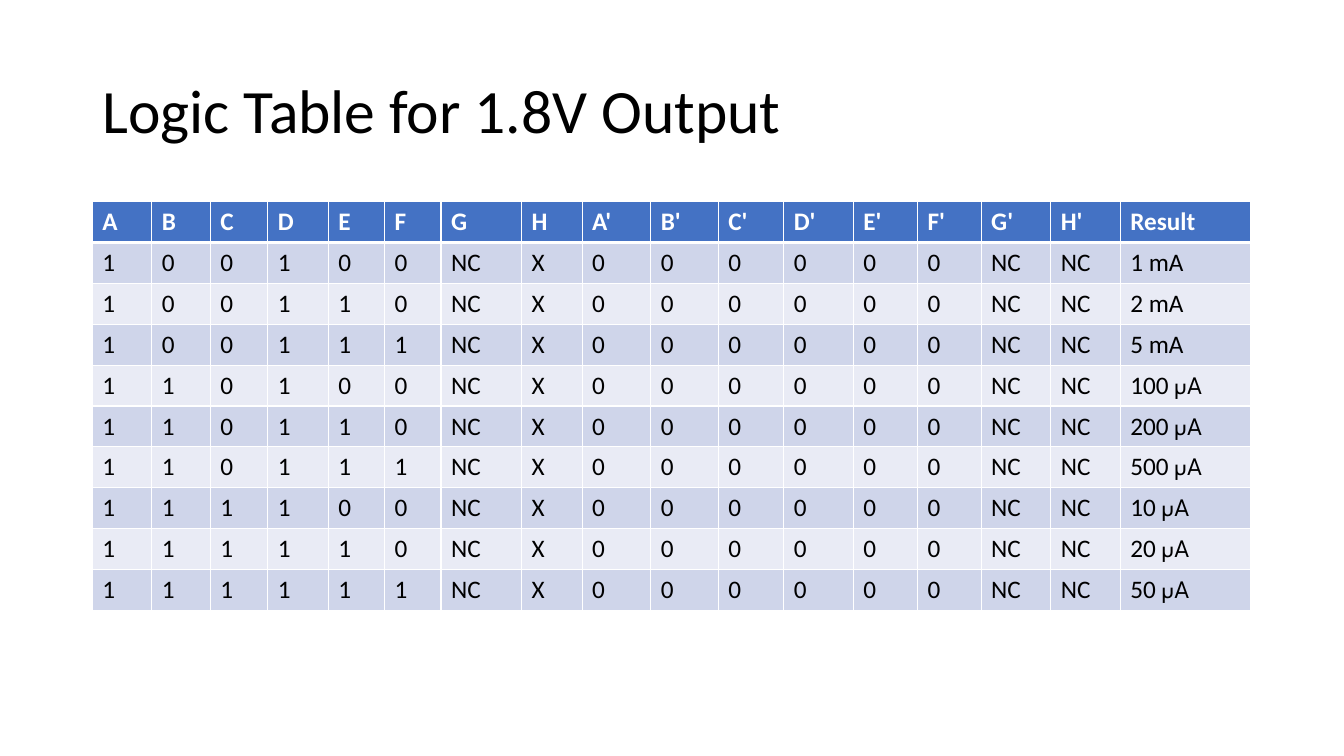
from lxml import etree
from pptx import Presentation
from pptx.dml.color import RGBColor
from pptx.enum.text import MSO_ANCHOR, PP_ALIGN
from pptx.oxml.ns import qn
from pptx.util import Pt

COLORS = {
    "text": "000000",
    "header": "4472C4",
    "header_text": "FFFFFF",
    "odd_row": "CFD5EA",
    "even_row": "E9EBF5",
    "border": "FFFFFF",
}
BODY_FONT = "Calibri"
UNIT_FONT = "League Spartan"

INPUTS = list("ABCDEFGH")
HEADERS = INPUTS + [name + "'" for name in INPUTS] + ["Result"]
COLUMN_WIDTHS = [42.5, 41.8, 41, 43.2, 40.3, 40.3, 57.6, 43.2, 49,
                 48.2, 46.8, 49.7, 46, 45.4, 49.7, 49.7, 92.9]
# Levels of inputs A to F, then the value and unit of the resulting current
STATES = [
    ("100100", "1", "mA"),
    ("100110", "2", "mA"),
    ("100111", "5", "mA"),
    ("110100", "100", "µA"),
    ("110110", "200", "µA"),
    ("110111", "500", "µA"),
    ("111100", "10", "µA"),
    ("111110", "20", "µA"),
    ("111111", "50", "µA"),
]


def add_run(paragraph, text, size, color, font=BODY_FONT, bold=False):
    run = paragraph.add_run()
    run.text = text
    run.font.name = font
    run.font.size = Pt(size)
    run.font.bold = bold
    run.font.color.rgb = RGBColor.from_string(COLORS[color])


def set_borders(cell, top, bottom):
    """Draw the four cell borders; top and bottom are widths in points."""
    properties = cell._tc.get_or_add_tcPr()
    for tag, width in (("a:lnL", 1), ("a:lnR", 1), ("a:lnT", top), ("a:lnB", bottom)):
        line = etree.SubElement(properties, qn(tag), w=str(Pt(width)))
        fill = etree.SubElement(line, qn("a:solidFill"))
        etree.SubElement(fill, qn("a:srgbClr"), val=COLORS["border"])


def format_title(slide, left, top, width, height):
    title = slide.shapes.title
    title.left, title.top, title.width, title.height = map(Pt, (left, top, width, height))
    title.text_frame.vertical_anchor = MSO_ANCHOR.MIDDLE
    paragraph = title.text_frame.paragraphs[0]
    paragraph.alignment = PP_ALIGN.LEFT
    paragraph.line_spacing = 0.9
    add_run(paragraph, "Logic Table for 1.8V Output", 44, "text")


def state_cells(levels, value, unit):
    """Return the cells of one state, each as a list of (text, font) runs."""
    texts = list(levels) + ["NC", "X"] + ["0"] * 6 + ["NC", "NC"]
    if unit == "µA":
        result = [(value + " ", BODY_FONT), (unit, UNIT_FONT)]
    else:
        result = [(f"{value} {unit}", BODY_FONT)]
    return [[(text, BODY_FONT)] for text in texts] + [result]


def add_logic_table(slide, left, top, width, height):
    rows = [[[(name, BODY_FONT)] for name in HEADERS]]
    rows += [state_cells(*state) for state in STATES]
    frame = slide.shapes.add_table(
        len(rows), len(HEADERS), Pt(left), Pt(top), Pt(width), Pt(height))
    table = frame.table
    for column, column_width in zip(table.columns, COLUMN_WIDTHS):
        column.width = Pt(column_width)
    for row_index, row in enumerate(rows):
        table.rows[row_index].height = Pt(height / len(rows))
        is_header = row_index == 0
        if is_header:
            fill = "header"
        else:
            fill = "odd_row" if row_index % 2 else "even_row"
        for column_index, runs in enumerate(row):
            cell = table.cell(row_index, column_index)
            set_borders(cell, 3 if row_index == 1 else 1, 3 if is_header else 1)
            cell.fill.solid()
            cell.fill.fore_color.rgb = RGBColor.from_string(COLORS[fill])
            paragraph = cell.text_frame.paragraphs[0]
            for text, font in runs:
                add_run(paragraph, text, 18, "header_text" if is_header else "text",
                        font, is_header)


def main():
    presentation = Presentation()
    presentation.slide_width, presentation.slide_height = Pt(960), Pt(540)
    slide = presentation.slides.add_slide(presentation.slide_layouts[5])
    format_title(slide, 66, 28.75, 828, 104.4)
    add_logic_table(slide, 66, 144, sum(COLUMN_WIDTHS), 292)
    presentation.save("out.pptx")


if __name__ == "__main__":
    main()
